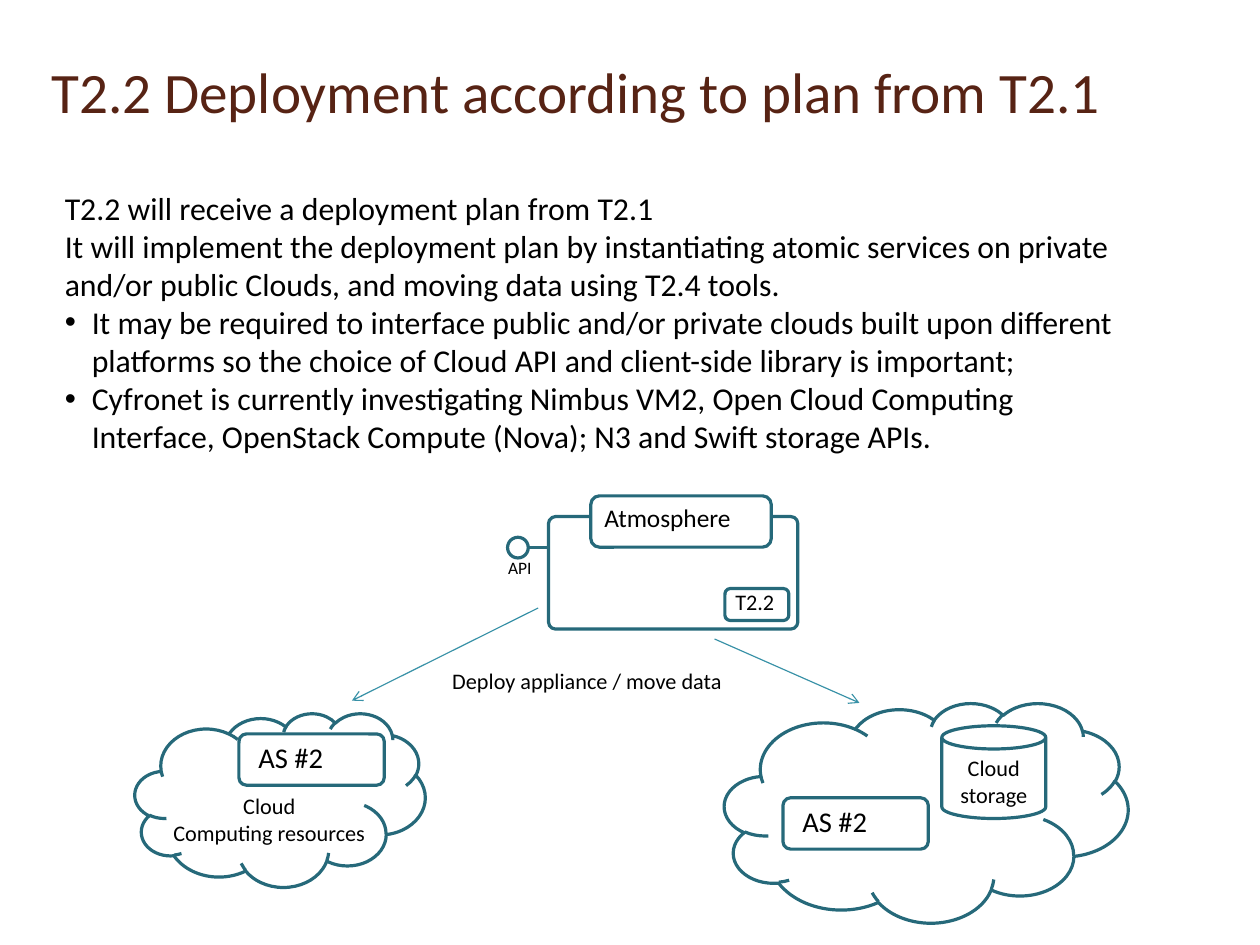
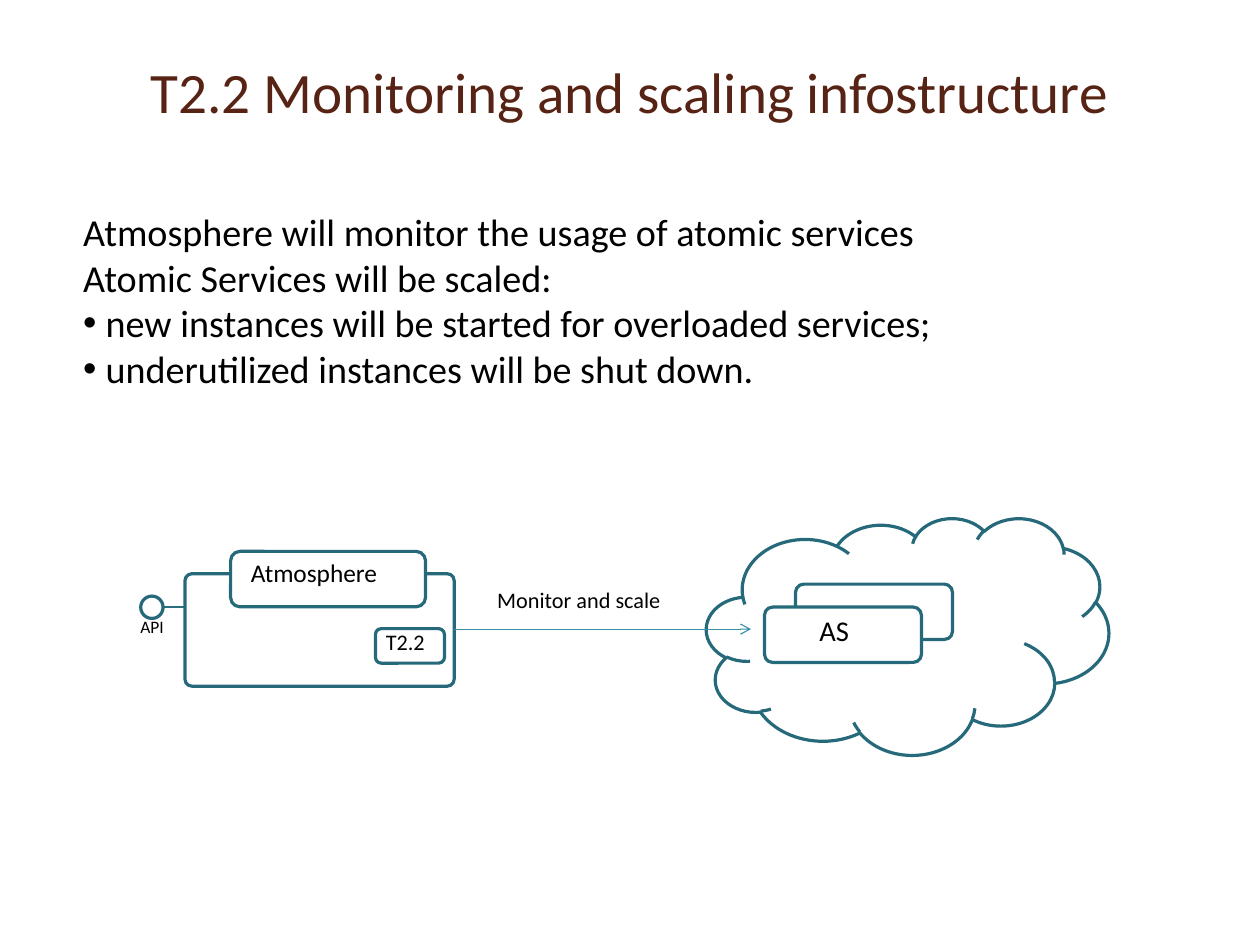
import pptx
import pptx.dml.color
import pptx.enum.shapes
import pptx.enum.text
import pptx.oxml.ns
import pptx.util
from lxml import etree

Cm = pptx.util.Cm
Pt = pptx.util.Pt
RGBColor = pptx.dml.color.RGBColor
SHAPE = pptx.enum.shapes.MSO_SHAPE
ALIGN = pptx.enum.text.PP_ALIGN
ANCHOR = pptx.enum.text.MSO_ANCHOR
qn = pptx.oxml.ns.qn

BROWN = RGBColor(0x57, 0x23, 0x14)
BLACK = RGBColor(0, 0, 0)
WHITE = RGBColor(0xFF, 0xFF, 0xFF)
TEAL = RGBColor(0x26, 0x69, 0x7A)
STEM = RGBColor(0x2A, 0x6D, 0x7D)
ARROW = RGBColor(0x38, 0x91, 0xA7)


def set_values(target, values):
    for name, value in values.items():
        setattr(target, name, value)


class Slides:
    """Style of the deck and the page being drawn; lengths are in cm."""

    font = "Calibri"

    def __init__(self):
        self.deck = pptx.Presentation()
        set_values(self.deck, {"slide_width": Cm(28), "slide_height": Cm(21)})
        self.page = None

    def new_page(self, title, left, width):
        self.page = self.deck.slides.add_slide(self.deck.slide_layouts[6])
        self.text([title], left, 0.36, width, 3.33, 36, color=BROWN, align=ALIGN.CENTER,
                  anchor=ANCHOR.MIDDLE, inset=(0.28, 0.15))

    def text(self, lines, left, top, width, height, size, color=BLACK, align=ALIGN.LEFT,
             anchor=ANCHOR.TOP, inset=(0.25, 0.13), wrap=True, bullets_from=None, indent=0):
        box = self.page.shapes.add_textbox(Cm(left), Cm(top), Cm(width), Cm(height))
        side, edge = (Cm(value) for value in inset)
        frame = box.text_frame
        set_values(frame, {"word_wrap": wrap, "vertical_anchor": anchor,
                           "margin_left": side, "margin_right": side,
                           "margin_top": edge, "margin_bottom": edge})
        for index, line in enumerate(lines):
            para = frame.add_paragraph() if index else frame.paragraphs[0]
            para.alignment = align
            if bullets_from is not None and index >= bullets_from:
                self.bullet(para, indent)
            span = para.add_run()
            span.text = line
            set_values(span.font, {"name": self.font, "size": Pt(size)})
            span.font.color.rgb = color

    def bullet(self, para, indent):
        props = para._p.get_or_add_pPr()
        props.set("marL", str(Cm(indent)))
        props.set("indent", str(-Cm(indent)))
        color = etree.SubElement(props, qn("a:buClr"))
        etree.SubElement(color, qn("a:srgbClr")).set("val", str(BLACK))
        etree.SubElement(props, qn("a:buFont")).set("typeface", "Arial")
        etree.SubElement(props, qn("a:buChar")).set("char", "•")

    def outline(self, kind, left, top, width, height, corner=None, fill=None):
        shape = self.page.shapes.add_shape(kind, Cm(left), Cm(top), Cm(width), Cm(height))
        shape.shadow.inherit = False
        if fill is None:
            shape.fill.background()
        else:
            shape.fill.solid()
            shape.fill.fore_color.rgb = fill
        shape.line.color.rgb = TEAL
        shape.line.width = Pt(2)
        if corner is not None:
            shape.adjustments[0] = corner

    def line(self, start, end, color=ARROW, width=0.75, arrow=True):
        points = [Cm(value) for value in (*start, *end)]
        line = self.page.shapes.add_connector(
            pptx.enum.shapes.MSO_CONNECTOR.STRAIGHT, *points)
        line.line.color.rgb = color
        line.line.width = Pt(width)
        if arrow:
            etree.SubElement(line.line._get_or_add_ln(), qn("a:tailEnd")).set("type", "arrow")
        etree.SubElement(line._element.spPr, qn("a:effectLst"))

    def cloud(self, left, top, width, height):
        self.outline(SHAPE.CLOUD, left, top, width, height)

    def service(self, left, top, scale=1, label=None, label_shift=0.18, label_width=2.18,
                fill=None):
        self.outline(SHAPE.ROUNDED_RECTANGLE, left, top, 3.23 * scale, 1.14 * scale, 0.148, fill)
        if label:
            self.text([label], left + label_shift, top, label_width, 1.02, 18, wrap=False)

    def atmosphere(self, left, top, task_drop, scale=1, label_shift=0.05):
        def place(x, y, *size):
            return (left + x * scale, top + y * scale, *(value * scale for value in size))

        # Body and header
        self.outline(SHAPE.ROUNDED_RECTANGLE, left, top, 5.54 * scale, 2.5, 0.062)
        header = place(0.94, -0.46, 4.01, 1.14)
        self.outline(SHAPE.ROUNDED_RECTANGLE, *header, 0.167, WHITE)
        self.text(["Atmosphere"], header[0] + label_shift, header[1], 3.76, 0.94, 16, wrap=False)
        # API port
        self.line(place(-0.46, 0.69), place(0, 0.69), STEM, 1.5, arrow=False)
        self.outline(SHAPE.OVAL, *place(-0.91, 0.46, 0.46, 0.46))
        self.text(["API"], *place(-1.15, 0.76), 1.12, 0.74, 11, wrap=False)
        # Task badge
        task_left, task_top = left + 3.92 * scale, top + task_drop
        self.outline(SHAPE.ROUNDED_RECTANGLE, task_left, task_top,
                     1.42 * scale, 0.71 * scale, 0.167)
        self.text(["T2.2"], task_left + 0.23, task_top, 1.2, 0.58, 14, inset=(0, 0))


def deployment(slides):
    slides.new_page("T2.2 Deployment according to plan from T2.1", 0, 25.6)
    slides.text([
        "T2.2 will receive a deployment plan from T2.1",
        "It will implement the deployment plan by instantiating atomic services on private "
        "and/or public Clouds, and moving data using T2.4 tools.",
        "It may be required to interface public and/or private clouds built upon different "
        "platforms so the choice of Cloud API and client-side library is important;",
        "Cyfronet is currently investigating Nimbus VM2, Open Cloud Computing Interface, "
        "OpenStack Compute (Nova); N3 and Swift storage APIs.",
    ], 1.19, 4.06, 24, 7.87, 20, bullets_from=2, indent=0.6)
    slides.atmosphere(12.19, 11.48, task_drop=1.6)
    # Deployment arrows
    slides.line((11.96, 13.51), (7.82, 15.57))
    slides.line((15.88, 14.2), (19.1, 15.62))
    slides.text(["Deploy appliance / move data"], 9.8, 14.71, 7.67, 0.86, 14)
    # Computing cloud
    slides.cloud(3, 15.85, 6.45, 3.86)
    slides.service(5.31, 16.31, label="AS #2")
    slides.text(["Cloud", "Computing resources"], 3, 17.48, 5.97, 1.45, 14, align=ALIGN.CENTER)
    # Cloud with storage
    slides.cloud(16.1, 15.62, 8.97, 4.88)
    slides.service(17.4, 17.73, label="AS #2")
    slides.outline(SHAPE.CAN, 20.93, 16.13, 2.31, 2.06, 0.25)
    slides.text(["Cloud", "storage"], 20.93, 16.64, 2.31, 1.45, 14, align=ALIGN.CENTER)


def monitoring(slides):
    slides.new_page("T2.2 Monitoring and scaling infostructure", 2.49, 23)
    slides.text([
        "Atmosphere will monitor the usage of atomic services",
        "Atomic Services will be scaled:",
        "new instances will be started for overloaded services;",
        "underutilized instances will be shut down.",
    ], 1.6, 4.5, 23.8, 4.32, 24, bullets_from=2, indent=0.5)
    slides.cloud(15.7, 11.51, 8.94, 5.26)
    slides.atmosphere(4.11, 12.75, task_drop=1.22, scale=1.08, label_shift=0.2)
    slides.line((10.08, 13.98), (16.69, 13.98))
    slides.text(["Monitor and scale"], 10.8, 12.9, 5.05, 0.86, 14)
    # Scaled service instances
    slides.service(17.68, 12.98, 1.08)
    slides.service(16.99, 13.49, 1.08, "AS", 0.97, 1.24, WHITE)


def main():
    slides = Slides()
    deployment(slides)
    monitoring(slides)
    slides.deck.save("out.pptx")


if __name__ == "__main__":
    main()
